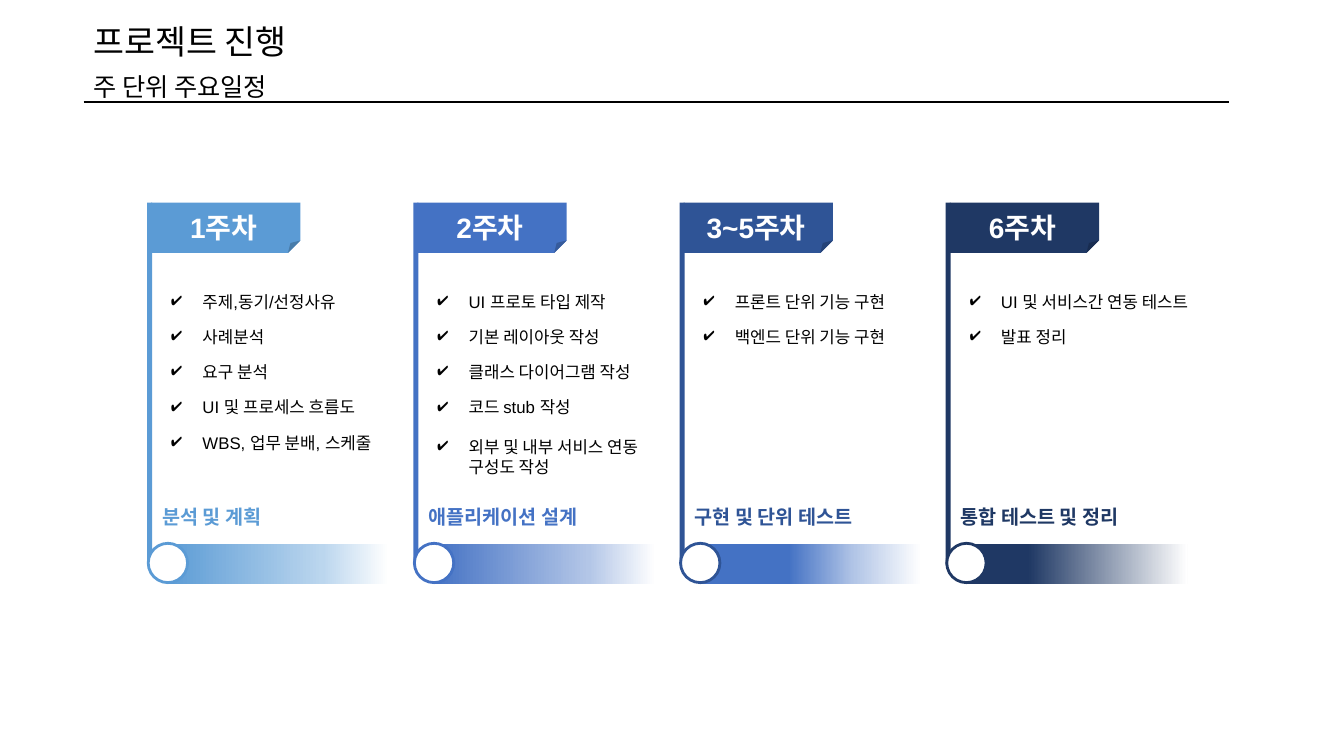
from dataclasses import dataclass

from lxml.etree import SubElement
from pptx import Presentation
from pptx.dml.color import RGBColor
from pptx.enum.shapes import MSO_CONNECTOR, MSO_SHAPE
from pptx.enum.text import MSO_ANCHOR, MSO_AUTO_SIZE, PP_ALIGN
from pptx.oxml.ns import qn
from pptx.shapes.autoshape import Shape
from pptx.slide import Slide
from pptx.util import Inches, Pt

KOREAN_FONT = "Noto Sans CJK KR"
BLACK, WHITE = "000000", "FFFFFF"
FIRST_LEFT, PHASE_PITCH = 1.46, 2.64
FIRST_TASK_TOP, TASK_PITCH = 2.88, 0.35


@dataclass
class Phase:
    """One column of the schedule."""
    week: str
    goal: str
    color: str
    fade: list[tuple[int, str]]
    tasks: list[str]
    task_width: float
    goal_width: float


PHASES = [
    Phase("1주차", "분석 및 계획", "5B9BD5",
          [(0, "5B9BD5"), (70, "BBD6EE"), (100, WHITE)],
          ["주제,동기/선정사유", "사례분석", "요구 분석",
           "UI 및 프로세스 흐름도", "WBS, 업무 분배, 스케줄"], 2.99, 1.85),
    Phase("2주차", "애플리케이션 설계", "4472C4",
          [(0, "4472C4"), (70, "B3C6E7"), (100, WHITE)],
          ["UI 프로토 타입 제작", "기본 레이아웃 작성", "클래스 다이어그램 작성",
           "코드 stub 작성", "외부 및 내부 서비스 연동 구성도 작성"], 2.56, 2.34),
    Phase("3~5주차", "구현 및 단위 테스트", "2F5496",
          [(0, "4472C4"), (40, "4472C4"), (70, "B3C6E7"), (100, WHITE)],
          ["프론트 단위 기능 구현", "백엔드 단위 기능 구현"], 2.27, 3.19),
    Phase("6주차", "통합 테스트 및 정리", "1F3864",
          [(0, "1F3864"), (28, "1F3864"), (100, WHITE)],
          ["UI 및 서비스간 연동 테스트", "발표 정리"], 2.63, 2.45),
]


def rgb(color: str) -> RGBColor:
    """Turn a hex string into a colour."""
    return RGBColor.from_string(color)


def write(box: Shape, text: str, *, size: float, color: str = BLACK,
          font: str = "Arial", bold: bool = False,
          align: PP_ALIGN = PP_ALIGN.LEFT, anchor: MSO_ANCHOR = MSO_ANCHOR.TOP,
          bullet: str = "", spacing: float = 1.0) -> None:
    """Fill a box with one formatted paragraph."""
    frame = box.text_frame
    frame.word_wrap = True
    frame.auto_size = MSO_AUTO_SIZE.SHAPE_TO_FIT_TEXT
    frame.vertical_anchor = anchor
    paragraph = frame.paragraphs[0]
    paragraph.alignment = align
    paragraph.line_spacing = spacing
    if bullet:
        properties = paragraph._p.get_or_add_pPr()
        properties.set("marL", str(Inches(0.31)))
        properties.set("indent", str(Inches(-0.31)))
        bullet_color = SubElement(properties, qn("a:buClr"))
        SubElement(bullet_color, qn("a:srgbClr"), val=color)
        SubElement(properties, qn("a:buChar"), char=bullet)
    run = paragraph.add_run()
    run.text = text
    run.font.size = Pt(size)
    run.font.bold = bold
    run.font.name = font
    run.font.color.rgb = rgb(color)
    SubElement(run.font._element, qn("a:ea"), typeface=KOREAN_FONT)


def add_text(slide: Slide, left: float, top: float, width: float,
             height: float, text: str, **text_format) -> None:
    """Add a text box."""
    box = slide.shapes.add_textbox(
        Inches(left), Inches(top), Inches(width), Inches(height))
    write(box, text, **text_format)


def add_block(slide: Slide, kind: MSO_SHAPE, left: float, top: float,
              width: float, height: float, fill: str, outline: str = "") -> Shape:
    """Add a flat preset shape."""
    block = slide.shapes.add_shape(
        kind, Inches(left), Inches(top), Inches(width), Inches(height))
    block.shadow.inherit = False
    block.fill.solid()
    block.fill.fore_color.rgb = rgb(fill)
    if outline:
        block.line.color.rgb = rgb(outline)
        block.line.width = Pt(2)
    else:
        block.line.fill.background()
    return block


def fade_out(bar: Shape, stops: list[tuple[int, str]]) -> None:
    """Give a bar a left-to-right gradient."""
    bar.fill.gradient()
    bar.fill.gradient_angle = 0
    stop_list = bar.element.spPr.find(".//" + qn("a:gsLst"))
    for default_stop in list(stop_list):
        stop_list.remove(default_stop)
    for percent, color in stops:
        stop = SubElement(stop_list, qn("a:gs"), pos=str(percent * 1000))
        SubElement(stop, qn("a:srgbClr"), val=color)


def add_heading(slide: Slide) -> None:
    """Add the title, the subtitle and the rule below them."""
    title = slide.shapes.title
    title.left, title.top = Inches(0.83), Inches(0.16)
    title.width, title.height = Inches(3.97), Inches(0.5)
    write(title, "프로젝트 진행", size=24, font=KOREAN_FONT)
    add_text(slide, 0.83, 0.66, 3.97, 0.34, "주 단위 주요일정",
             size=18, font=KOREAN_FONT)
    rule = slide.shapes.add_connector(
        MSO_CONNECTOR.STRAIGHT, Inches(0.83), Inches(1.01),
        Inches(12.19), Inches(1.01))
    rule.line.color.rgb = rgb(BLACK)
    rule.line.width = Pt(1.5)
    SubElement(rule._element.spPr, qn("a:effectLst"))


def add_phase(slide: Slide, phase: Phase, left: float) -> None:
    """Draw one column: flag, tasks, goal and fading bar."""
    add_block(slide, MSO_SHAPE.RECTANGLE, left, 2.01, 0.05, 3.6, phase.color)
    flag = add_block(slide, MSO_SHAPE.FOLDED_CORNER,
                     left + 0.04, 2.01, 1.48, 0.5, phase.color)
    fold = flag.element.spPr.find(".//" + qn("a:avLst"))
    SubElement(fold, qn("a:gd"), name="adj", fmla="val 24800")
    bar = add_block(slide, MSO_SHAPE.RECTANGLE,
                    left + 0.2, 5.4, 2.2, 0.39, phase.color)
    fade_out(bar, phase.fade)
    add_block(slide, MSO_SHAPE.OVAL, left + 0.01, 5.39, 0.39, 0.39,
              WHITE, outline=phase.color)
    add_text(slide, left + 0.02, 2.04, 1.48, 0.44, phase.week,
             size=20, color=WHITE, bold=True, align=PP_ALIGN.CENTER)
    add_text(slide, left + 0.05, 4.96, phase.goal_width, 0.34, phase.goal,
             size=14, color=phase.color, bold=True, anchor=MSO_ANCHOR.MIDDLE)
    for row, task in enumerate(phase.tasks):
        two_lines = len(task) > 18
        add_text(slide, left + 0.14, FIRST_TASK_TOP + row * TASK_PITCH,
                 phase.task_width, 0.5 if two_lines else 0.27, task, size=12,
                 bullet="✔", spacing=1.0 if two_lines else 0.8)


def main() -> None:
    """Build and save the schedule slide."""
    presentation = Presentation()
    presentation.slide_width = Inches(13.33)
    presentation.slide_height = Inches(7.5)
    slide = presentation.slides.add_slide(presentation.slide_layouts[5])
    add_heading(slide)
    for column, phase in enumerate(PHASES):
        add_phase(slide, phase, FIRST_LEFT + column * PHASE_PITCH)
    presentation.save("out.pptx")


if __name__ == "__main__":
    main()
